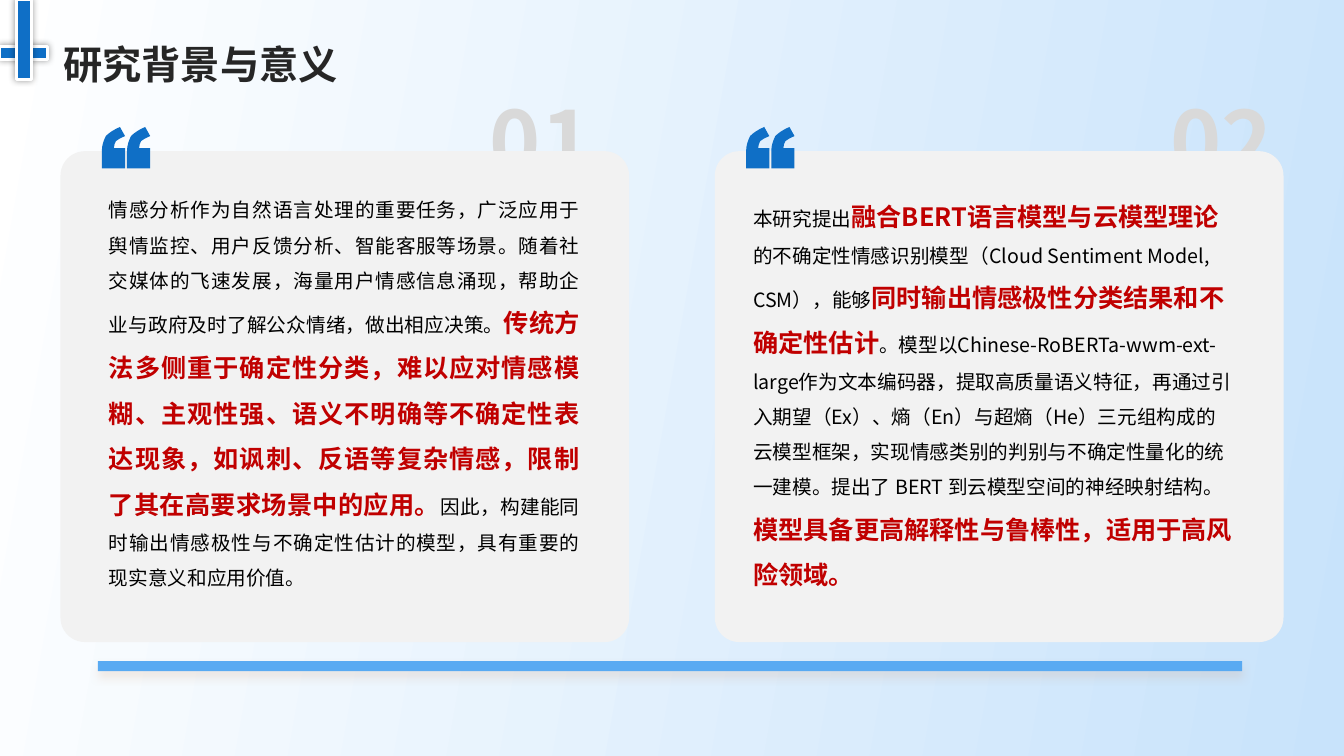
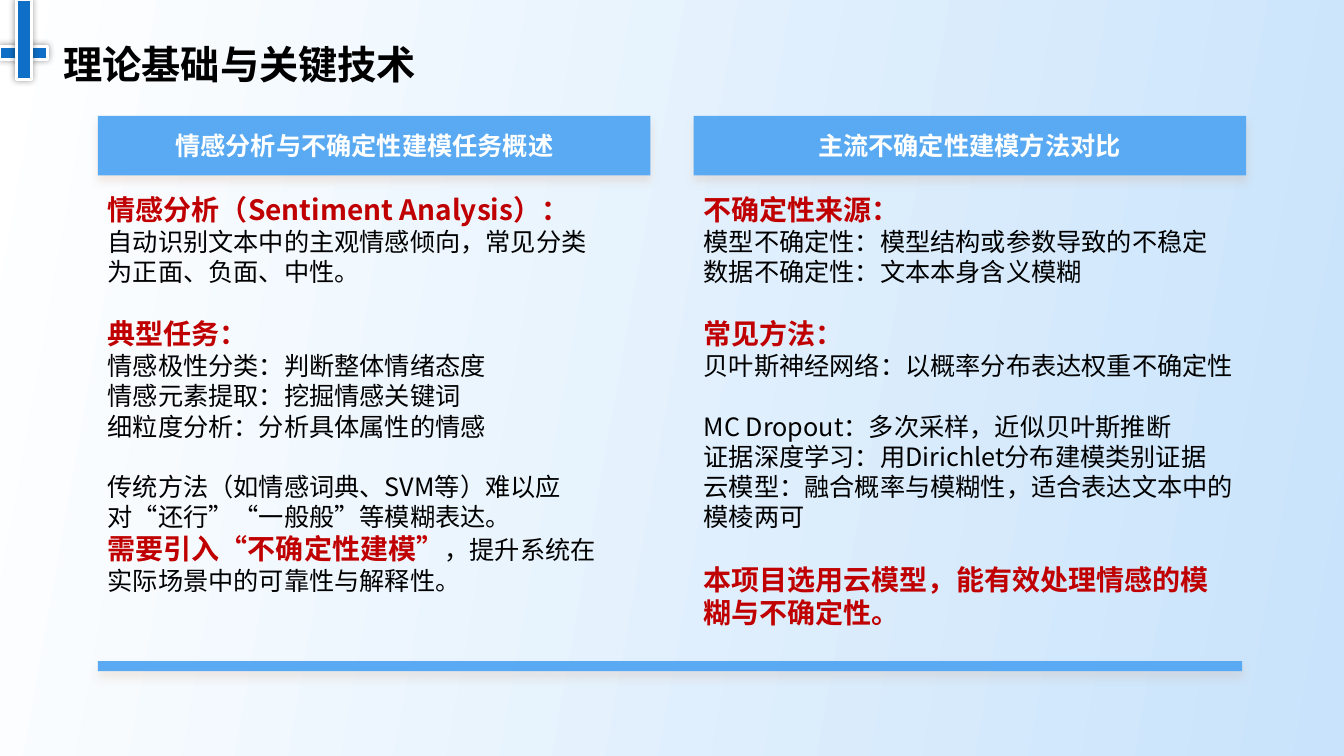
from lxml.etree import SubElement
from pptx import Presentation
from pptx.dml.color import RGBColor
from pptx.enum.shapes import MSO_SHAPE
from pptx.enum.text import MSO_ANCHOR, PP_ALIGN
from pptx.oxml.ns import qn
from pptx.util import Inches, Pt

FONT = "Noto Sans CJK SC"
WHITE = RGBColor(0xFF, 0xFF, 0xFF)
BLACK = RGBColor(0x00, 0x00, 0x00)
CHARCOAL = RGBColor(0x26, 0x26, 0x26)
RED = RGBColor(0xC0, 0x00, 0x00)
DEEP_BLUE = RGBColor(0x0F, 0x6F, 0xC6)
BAND_BLUE = RGBColor(0x59, 0xAA, 0xF2)
PALE_BLUE = RGBColor(0xC8, 0xE3, 0xFB)
CARD_GREY = RGBColor(0xF2, 0xF2, 0xF2)
NUMBER_GREY = RGBColor(0xD9, 0xD9, 0xD9)
BAND_SHADOW = ("CD9673", 20, 6, 4, 90)
CROSS_SHADOW = ("000000", 40, 5, 0, 0)

# Text: a paragraph is a list of (text, is_key) pieces
BACKGROUND_TEXT = [
    ("情感分析作为自然语言处理的重要任务，广泛应用于舆情监控、用户反馈分析、智能客服等场景。"
     "随着社交媒体的飞速发展，海量用户情感信息涌现，帮助企业与政府及时了解公众情绪，做出相应决策。", False),
    ("传统方法多侧重于确定性分类，难以应对情感模糊、主观性强、语义不明确等不确定性表达现象，"
     "如讽刺、反语等复杂情感，限制了其在高要求场景中的应用。", True),
    ("因此，构建能同时输出情感极性与不确定性估计的模型，具有重要的现实意义和应用价值。", False),
]
PROPOSAL_TEXT = [
    ("本研究提出", False),
    ("融合BERT语言模型与云模型理论", True),
    ("的不确定性情感识别模型（Cloud Sentiment Model, CSM），能够", False),
    ("同时输出情感极性分类结果和不确定性估计", True),
    ("。模型以Chinese-RoBERTa-wwm-ext-large作为文本编码器，提取高质量语义特征，"
     "再通过引入期望（Ex）、熵（En）与超熵（He）三元组构成的云模型框架，"
     "实现情感类别的判别与不确定性量化的统一建模。提出了 BERT 到云模型空间的神经映射结构。", False),
    ("模型具备更高解释性与鲁棒性，适用于高风险领域。", True),
]
# Column text: groups of paragraphs, one line apart
TASK_GROUPS = [
    [[("情感分析（Sentiment Analysis）：", True)],
     [("自动识别文本中的主观情感倾向，常见分类为正面、负面、中性。", False)]],
    [[("典型任务：", True)],
     [("情感极性分类：判断整体情绪态度", False)],
     [("情感元素提取：挖掘情感关键词", False)],
     [("细粒度分析：分析具体属性的情感", False)]],
    [[("传统方法（如情感词典、SVM等）难以应对“还行”“一般般”等模糊表达。", False)],
     [("需要引入“不确定性建模”", True),
      ("，提升系统在实际场景中的可靠性与解释性。", False)]],
]
METHOD_GROUPS = [
    [[("不确定性来源：", True)],
     [("模型不确定性：模型结构或参数导致的不稳定", False)],
     [("数据不确定性：文本本身含义模糊", False)]],
    [[("常见方法：", True)],
     [("贝叶斯神经网络：以概率分布表达权重不确定性", False)]],
    [[("MC Dropout：多次采样，近似贝叶斯推断", False)],
     [("证据深度学习：用Dirichlet分布建模类别证据", False)],
     [("云模型：融合概率与模糊性，适合表达文本中的模棱两可", False)]],
    [[("本项目选用云模型，能有效处理情感的模糊与不确定性。", True)]],
]

# Quotation mark outline, in inches; a step of three points is a curve
QUOTE_START = (0.18, 0)
QUOTE_STEPS = [
    [(0.23, 0.09)],
    [(0.19, 0.11), (0.16, 0.12), (0.14, 0.14)],
    [(0.13, 0.16), (0.12, 0.18), (0.12, 0.21)],
    [(0.23, 0.21)], [(0.23, 0.41)], [(0, 0.41)], [(0, 0.24)],
    [(0, 0.18), (0.02, 0.13), (0.04, 0.09)],
    [(0.07, 0.06), (0.11, 0.03), (0.18, 0)],
]


def add_box(slide, kind, left, top, width, height, color, shadow=None):
    shape = slide.shapes.add_shape(
        kind, Inches(left), Inches(top), Inches(width), Inches(height))
    shape.fill.solid()
    shape.fill.fore_color.rgb = color
    shape.line.fill.background()
    shape.shadow.inherit = False
    if shadow:
        add_shadow(shape, *shadow)
    return shape


def add_shadow(shape, color, opacity, blur, distance, angle):
    effects = shape._element.spPr.find(qn("a:effectLst"))
    outer = SubElement(effects, qn("a:outerShdw"), blurRad=str(Pt(blur)),
                       dist=str(Pt(distance)), dir=str(angle * 60000),
                       algn="ctr", rotWithShape="0")
    tint = SubElement(outer, qn("a:srgbClr"), val=color)
    SubElement(tint, qn("a:alpha"), val=str(opacity * 1000))


def add_text_frame(slide, left, top, width, height, side=0.0, edge=0.0):
    box = slide.shapes.add_textbox(
        Inches(left), Inches(top), Inches(width), Inches(height))
    frame = box.text_frame
    frame.word_wrap = True
    frame.margin_left = frame.margin_right = Inches(side)
    frame.margin_top = frame.margin_bottom = Inches(edge)
    return frame


def add_run(paragraph, text, size, color, bold=False):
    run = paragraph.add_run()
    run.text = text
    font = run.font
    font.name, font.size, font.bold = FONT, Pt(size), bold
    font.color.rgb = color
    SubElement(font._element, qn("a:ea"), typeface=FONT)


def add_pieces(paragraph, pieces, size, key_size):
    for text, is_key in pieces:
        add_run(paragraph, text, key_size if is_key else size,
                RED if is_key else BLACK, is_key)


def add_master_veil(presentation, slide):
    # The veil is drawn on a slide, then moved behind everything on the master
    veil = add_box(slide, MSO_SHAPE.RECTANGLE, -0.01, -0.01, 13.35, 7.52, WHITE)
    tint = veil._element.spPr.find(qn("a:solidFill"))[0]
    SubElement(tint, qn("a:alpha"), val="78000")
    presentation.slide_master.shapes._spTree.insert(2, veil._element)


def add_framed_slide(presentation, title, title_color):
    slide = presentation.slides.add_slide(presentation.slide_layouts[6])
    # Backdrop
    backdrop = add_box(slide, MSO_SHAPE.RECTANGLE, -0.02, 0, 13.37, 7.5, WHITE)
    backdrop.fill.gradient()
    backdrop.fill.gradient_angle = 350
    for stop, color in zip(backdrop.fill.gradient_stops, (WHITE, PALE_BLUE)):
        stop.color.rgb = color
    # Title
    paragraph = add_text_frame(slide, 0.63, 0.26, 11.35, 0.59).paragraphs[0]
    paragraph.line_spacing = 1.3
    add_run(paragraph, title, 28, title_color, True)
    # Corner cross
    for bounds in ((0, 0.46, 0.47, 0.13), (0.16, 0, 0.15, 0.79)):
        bar = add_box(slide, MSO_SHAPE.RECTANGLE, *bounds, DEEP_BLUE, CROSS_SHADOW)
        bar.line.color.rgb = WHITE
        bar.line.width = Pt(2)
    # Footer band
    add_box(slide, MSO_SHAPE.RECTANGLE, 0.97, 6.56, 11.35, 0.1,
            BAND_BLUE, BAND_SHADOW)
    return slide


def add_quote(slide, left, top):
    def place(point, shift):
        return Inches(left + shift + point[0]), Inches(top + point[1])

    shifts = (0.25, 0)
    builder = slide.shapes.build_freeform(*place(QUOTE_START, shifts[0]))
    for shift in shifts:
        if shift != shifts[0]:
            builder.move_to(*place(QUOTE_START, shift))
        for step in QUOTE_STEPS:
            builder.add_line_segments([place(point, shift) for point in step], close=False)
    shape = builder.convert_to_shape()
    # Join each three-point step into one curve and close both marks
    outline = shape._element.spPr.find(".//" + qn("a:path"))
    segments = iter(outline.findall(qn("a:lnTo")))
    for _ in shifts:
        for step in QUOTE_STEPS:
            lines = [next(segments) for _ in step]
            if len(step) == 3:
                curve = SubElement(outline, qn("a:cubicBezTo"))
                lines[0].addprevious(curve)
                for line in lines:
                    curve.append(line[0])
                    outline.remove(line)
                last = curve
            else:
                last = lines[0]
        last.addnext(SubElement(outline, qn("a:close")))
    shape.fill.solid()
    shape.fill.fore_color.rgb = DEEP_BLUE
    shape.line.fill.background()
    shape.shadow.inherit = False


def add_card(slide, left, top, number, number_offset, pieces,
             text_offset, text_width, alignment):
    # Number, half hidden by the card
    frame = add_text_frame(slide, left + number_offset, top - 0.63, 1.1, 1)
    add_run(frame.paragraphs[0], number, 62, NUMBER_GREY, True)
    card = add_box(slide, MSO_SHAPE.ROUNDED_RECTANGLE, left, top, 5.64, 4.87, CARD_GREY)
    card.adjustments[0] = 0.05
    # Text
    frame = add_text_frame(slide, left + text_offset, top + 0.31, text_width, 4.57,
                           0.07, 0.04)
    paragraph = frame.paragraphs[0]
    paragraph.alignment = alignment
    paragraph.line_spacing = 1.5
    add_pieces(paragraph, pieces, 14, 18)
    add_quote(slide, left + text_offset, top - 0.24)


def add_column(slide, left, top, heading, alignment, groups, text_width):
    # Heading band
    add_box(slide, MSO_SHAPE.RECTANGLE, left, top, 5.48, 0.59, BAND_BLUE, BAND_SHADOW)
    frame = add_text_frame(slide, left + 0.67, top + 0.09, 4.13, 0.4, 0.1, 0.05)
    frame.vertical_anchor = MSO_ANCHOR.TOP
    frame.paragraphs[0].alignment = alignment
    add_run(frame.paragraphs[0], heading, 18, WHITE, True)
    # Grouped text
    frame = add_text_frame(slide, left, top + 0.71, text_width, 4.15, 0.1, 0.05)
    for group_index, group in enumerate(groups):
        for line_index, pieces in enumerate(group):
            is_first = group_index == line_index == 0
            paragraph = frame.paragraphs[0] if is_first else frame.add_paragraph()
            if group_index and line_index == 0:
                paragraph.space_before = Pt(21.6)
            add_pieces(paragraph, pieces, 18, 20)


def build_background_slide(presentation):
    slide = add_framed_slide(presentation, "研究背景与意义", CHARCOAL)
    add_master_veil(presentation, slide)
    add_card(slide, 0.6, 1.5, "01", 4.26, BACKGROUND_TEXT, 0.41, 4.81, PP_ALIGN.JUSTIFY)
    add_card(slide, 7.09, 1.5, "02", 4.52, PROPOSAL_TEXT, 0.31, 4.92, PP_ALIGN.LEFT)


def build_theory_slide(presentation):
    slide = add_framed_slide(presentation, "理论基础与关键技术", BLACK)
    add_column(slide, 0.97, 1.15, "情感分析与不确定性建模任务概述", PP_ALIGN.LEFT,
               TASK_GROUPS, 5.17)
    add_column(slide, 6.88, 1.15, "主流不确定性建模方法对比", PP_ALIGN.CENTER,
               METHOD_GROUPS, 5.48)


def main():
    presentation = Presentation()
    presentation.slide_width = Inches(13.33)
    presentation.slide_height = Inches(7.5)
    build_background_slide(presentation)
    build_theory_slide(presentation)
    presentation.save("out.pptx")


if __name__ == "__main__":
    main()
